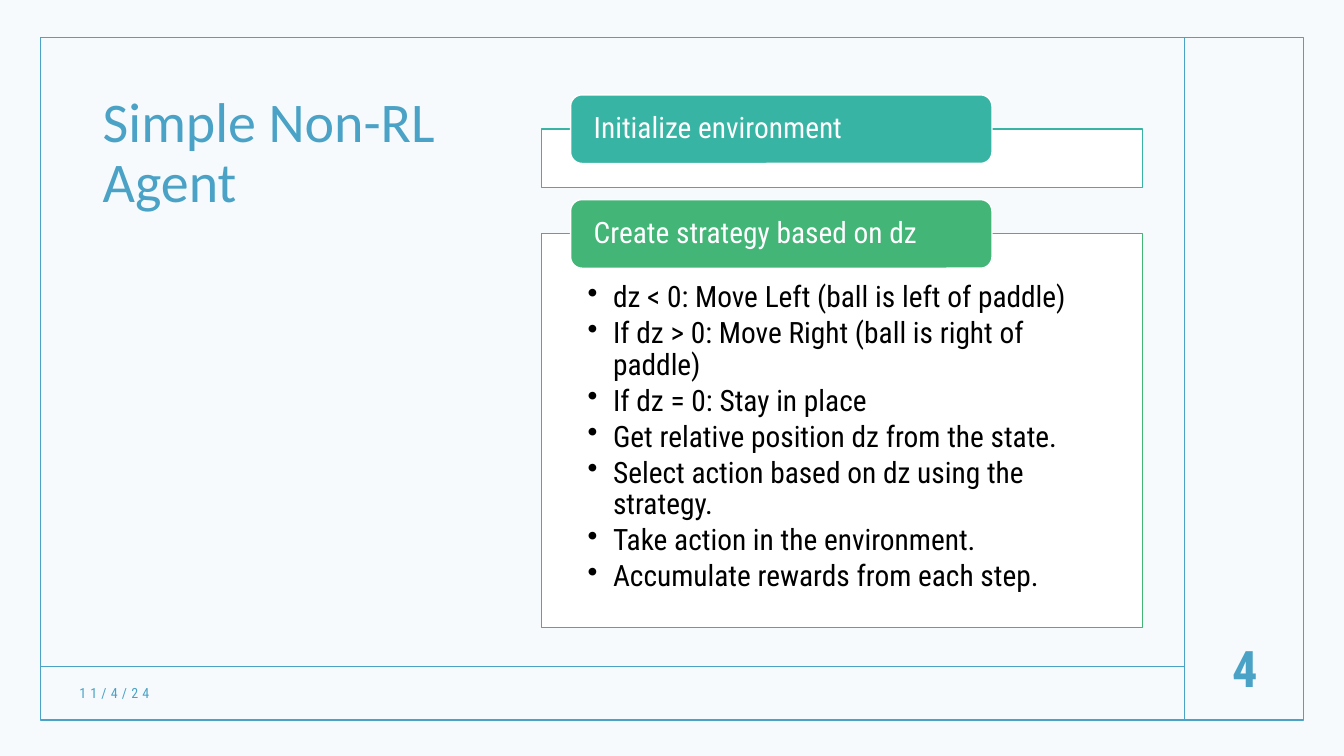
from lxml import etree
from pptx import Presentation
from pptx.dml.color import RGBColor
from pptx.enum.shapes import MSO_CONNECTOR, MSO_SHAPE
from pptx.enum.text import MSO_ANCHOR, PP_ALIGN
from pptx.oxml.ns import qn
from pptx.util import Cm, Pt

RECT = MSO_SHAPE.RECTANGLE
ROUND = MSO_SHAPE.ROUNDED_RECTANGLE
LINE = MSO_CONNECTOR.STRAIGHT
TOP, MIDDLE = MSO_ANCHOR.TOP, MSO_ANCHOR.MIDDLE
LEFT, CENTER = PP_ALIGN.LEFT, PP_ALIGN.CENTER

BLUE = RGBColor(0x4A, 0xA2, 0xC6)
TINT = RGBColor(0xF6, 0xFA, 0xFC)
TEAL = RGBColor(0x38, 0xB4, 0xA4)
GREEN = RGBColor(0x43, 0xB5, 0x77)
WHITE = RGBColor(0xFF, 0xFF, 0xFF)
BLACK = RGBColor(0, 0, 0)

HEAD = "Calibri"
BODY = "Roboto Condensed"

STEPS = [
    "dz < 0: Move Left (ball is left of paddle)",
    "If dz > 0: Move Right (ball is right of paddle)",
    "If dz = 0: Stay in place",
    "Get relative position dz from the state.",
    "Select action based on dz using the strategy.",
    "Take action in the environment.",
    "Accumulate rewards from each step.",
]
CARDS = [
    ("Initialize environment", TEAL, 3.25, 1.47, []),
    ("Create strategy based on dz", GREEN, 5.89, 9.93, STEPS),
]


def add_box(slide, kind, area, fill, line):
    """Add a preset shape with a thin outline and an optional fill."""
    box = slide.shapes.add_shape(kind, *map(Cm, area))
    box.shadow.inherit = False
    if fill is None:
        box.fill.background()
    else:
        box.fill.solid()
        box.fill.fore_color.rgb = fill
    box.line.color.rgb = line
    box.line.width = Pt(1)
    return box


def add_line(slide, *ends):
    """Add a thin blue rule."""
    rule = slide.shapes.add_connector(LINE, *map(Cm, ends))
    rule.line.color.rgb = BLUE
    rule.line.width = Pt(1)
    etree.SubElement(rule._element.spPr, qn("a:effectLst"))


def set_frame(shape, anchor, insets):
    """Set wrapping, anchor and insets, and return the text frame."""
    frame = shape.text_frame
    frame.word_wrap = True
    frame.vertical_anchor = anchor
    (frame.margin_left, frame.margin_top,
     frame.margin_right, frame.margin_bottom) = map(Cm, insets)
    return frame


def add_run(para, text, size, color, font=BODY, bold=False):
    """Add a styled run to a paragraph."""
    run = para.add_run()
    run.text = text
    run.font.size = Pt(size)
    run.font.name = font
    run.font.bold = bold
    run.font.color.rgb = color
    return run


def add_text(slide, area, text, size, anchor=MIDDLE, align=LEFT,
             space=None, font=BODY, bold=False):
    """Add a blue text box and return its run."""
    box = slide.shapes.add_textbox(*map(Cm, area))
    frame = set_frame(box, anchor, (0.25, 0.13, 0.25, 0.13))
    para = frame.paragraphs[0]
    para.alignment = align
    para.line_spacing = space
    return add_run(para, text, size, BLUE, font, bold)


def add_list(box, items):
    """Fill a box with bulleted items."""
    frame = set_frame(box, TOP, (1.17, 1.22, 1.17, 0.41))
    for index, item in enumerate(items):
        para = frame.add_paragraph() if index else frame.paragraphs[0]
        para.alignment = LEFT
        para.line_spacing = 0.9
        para.space_after = Pt(3)
        props = para._p.get_or_add_pPr()
        props.set("marL", str(Cm(0.64)))
        props.set("indent", str(-Cm(0.64)))
        etree.SubElement(props, qn("a:buChar"), char="•")
        add_run(para, item, 21, BLACK)


def add_card(slide, title, color, top, height, items):
    """Add an outlined panel with a coloured title tab."""
    panel = add_box(slide, RECT, (13.64, top, 15.16, height), WHITE, color)
    if items:
        add_list(panel, items)
    tab = add_box(slide, ROUND, (14.38, top - 0.86, 10.62, 1.73), color, WHITE)
    para = set_frame(tab, MIDDLE, (0.5, 0, 0.5, 0)).paragraphs[0]
    para.alignment = LEFT
    para.line_spacing = 0.9
    add_run(para, title, 21, WHITE)


def main():
    """Build and save the slide."""
    deck = Presentation()
    deck.slide_width, deck.slide_height = Cm(33.87), Cm(19.05)
    slide = deck.slides.add_slide(deck.slide_layouts[6])
    slide.background.fill.solid()
    slide.background.fill.fore_color.rgb = TINT

    add_box(slide, RECT, (1.02, 0.94, 31.83, 17.2), None, BLUE)
    add_line(slide, 29.85, 0.94, 29.85, 18.14)
    add_line(slide, 1.02, 16.79, 29.85, 16.79)
    add_text(slide, (2.34, 2.24, 11.3, 13.54), "Simple Non-RL Agent", 40,
             anchor=TOP, space=0.9, font=HEAD)
    date = add_text(slide, (1.75, 17.07, 8.76, 0.79), "11/4/24", 10)
    date.font._element.set("spc", "300")
    add_text(slide, (30.05, 15.75, 2.64, 2.11), "4", 36,
             align=CENTER, bold=True)
    for card in CARDS:
        add_card(slide, *card)
    deck.save("out.pptx")


if __name__ == "__main__":
    main()
